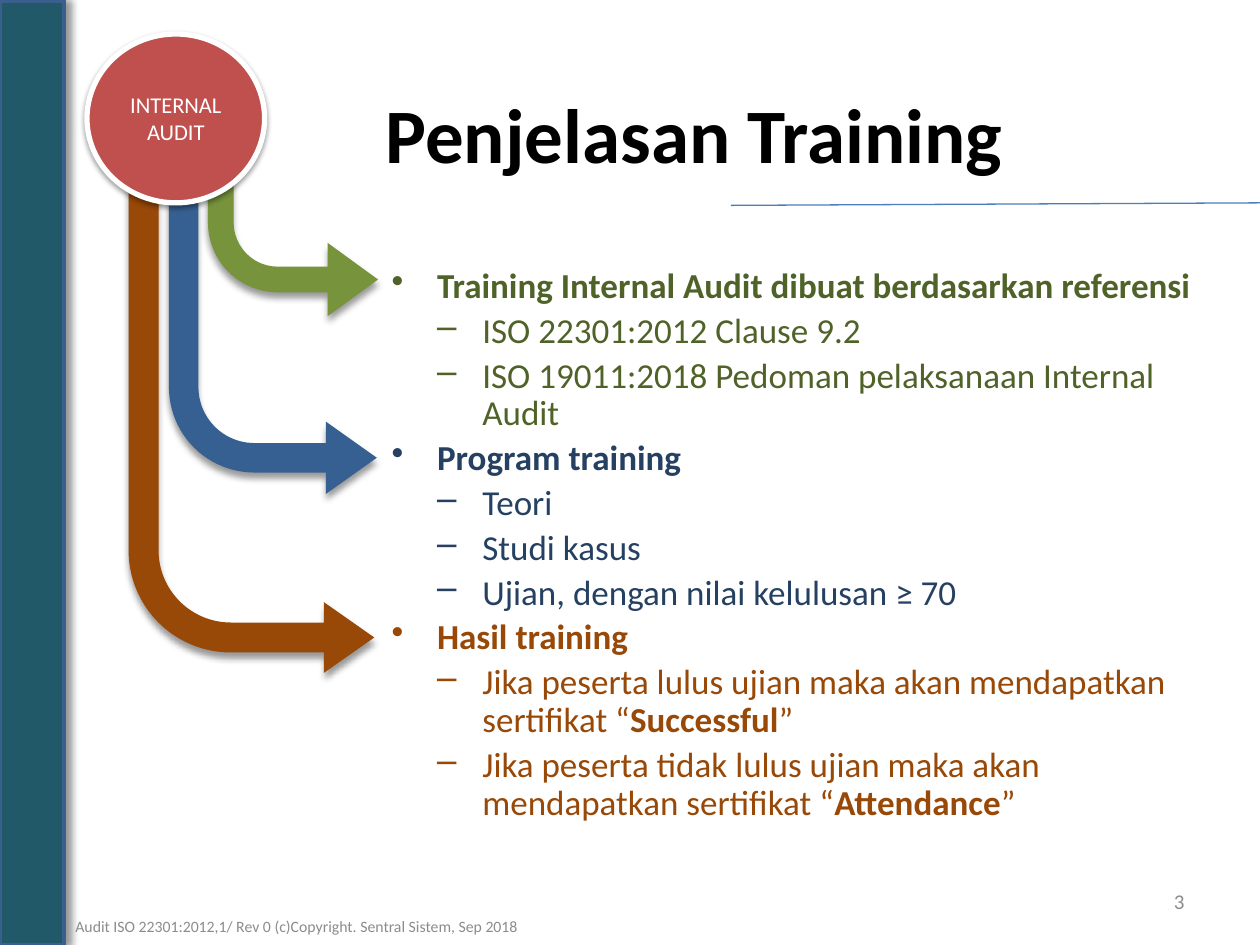
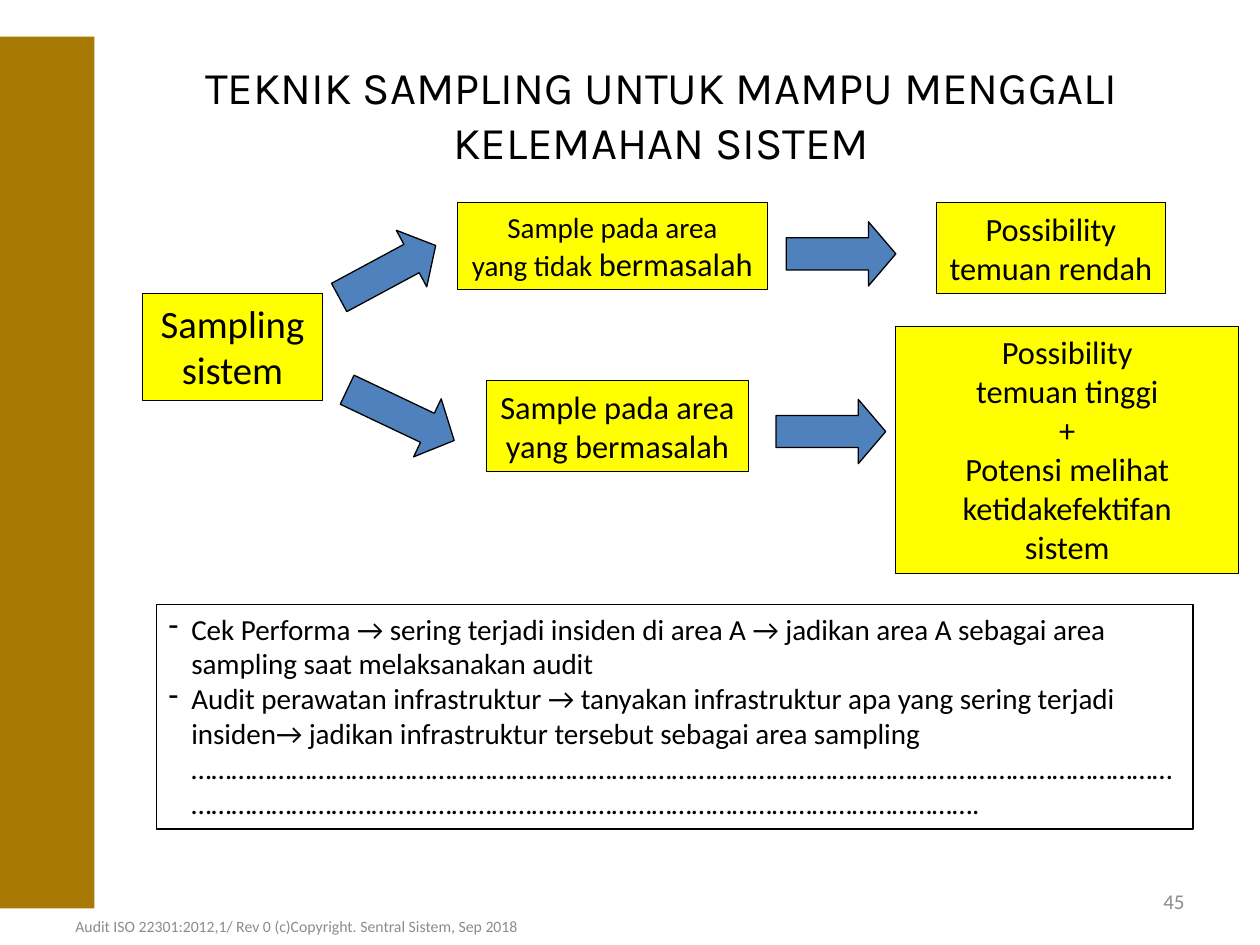
from dataclasses import dataclass

from lxml.etree import SubElement
from pptx import Presentation
from pptx.dml.color import RGBColor
from pptx.enum.shapes import MSO_CONNECTOR as Connector, MSO_SHAPE as Preset
from pptx.enum.text import MSO_ANCHOR as Anchor, MSO_AUTO_SIZE as AutoSize, PP_ALIGN as Align
from pptx.oxml.ns import qn
from pptx.util import Emu, Inches, Pt

# Colours
BLACK = RGBColor(0x00, 0x00, 0x00)
WHITE = RGBColor(0xFF, 0xFF, 0xFF)
GREY = RGBColor(0x8C, 0x8C, 0x8C)
TEAL = RGBColor(0x21, 0x59, 0x68)
TEAL_EDGE = RGBColor(0x3A, 0x5F, 0x8C)
RULE_BLUE = RGBColor(0x4B, 0x7E, 0xBC)
RED = RGBColor(0xC0, 0x50, 0x4D)
GREEN = RGBColor(0x77, 0x93, 0x3C)
DARK_GREEN = RGBColor(0x4F, 0x62, 0x28)
BLUE = RGBColor(0x37, 0x60, 0x92)
NAVY = RGBColor(0x25, 0x40, 0x61)
BROWN = RGBColor(0x98, 0x48, 0x07)
YELLOW = RGBColor(0xFF, 0xFF, 0x00)
ARROW_BLUE = RGBColor(0x4F, 0x81, 0xBD)
OCHRE = RGBColor(0xA8, 0x79, 0x04)

BODY_FONT, CAPS_FONT = "Calibri", "Karla"
FOOTER = "Audit ISO 22301:2012,1/ Rev 0 (c)Copyright. Sentral Sistem, Sep 2018"

# Grid of 100 columns by 75 rows
SLIDE_WIDTH, SLIDE_HEIGHT = Inches(10), Inches(7.5)
COLUMN, ROW = SLIDE_WIDTH / 100, SLIDE_HEIGHT / 75


@dataclass
class Box:
    """A region of the grid, in columns and rows."""
    left: float
    top: float
    width: float
    height: float

    def area(self, left, top, width, height):
        return Box(self.left + left, self.top + top, width, height)

    def lengths(self):
        return [Emu(round(cells * size)) for cells, size in
                zip((self.left, self.top, self.width, self.height), (COLUMN, ROW) * 2)]


PAGE = Box(0, 0, 100, 75)


def style_text(para, size, color, font=BODY_FONT, bold=False, align=Align.LEFT):
    para.alignment = align
    for span in para.runs:
        span.font.name, span.font.size = font, Pt(size)
        span.font.color.rgb, span.font.bold = color, bold


def add_bullet(para, symbol, margin, hang):
    props = para._p.get_or_add_pPr()
    props.set("marL", str(Inches(margin)))
    props.set("indent", str(-Inches(hang)))
    SubElement(props, qn("a:buChar"), char=symbol)


def add_shadow(shape, alpha, blur, distance, angle):
    effects = shape.element.spPr.find(qn("a:effectLst"))
    shadow = SubElement(effects, qn("a:outerShdw"), blurRad=str(Pt(blur)),
                        dist=str(Pt(distance)), dir=str(angle * 60000),
                        algn="ctr", rotWithShape="0")
    color = SubElement(shadow, qn("a:srgbClr"), val=str(BLACK))
    SubElement(color, qn("a:alpha"), val=str(alpha * 1000))


def add_figure(page, preset, box, fill=None, line=None, weight=0.75, adjust=()):
    shape = page.shapes.add_shape(preset, *box.lengths())
    shape.shadow.inherit = False
    for index, value in enumerate(adjust):
        shape.adjustments[index] = value
    if fill is None:
        shape.fill.background()
    else:
        shape.fill.solid()
        shape.fill.fore_color.rgb = fill
    if line is None:
        shape.line.fill.background()
    else:
        shape.line.color.rgb, shape.line.width = line, Pt(weight)
    return shape


def add_label(page, box, text, size, color, align=Align.LEFT):
    frame = page.shapes.add_textbox(*box.lengths()).text_frame
    frame.word_wrap, frame.vertical_anchor = True, Anchor.MIDDLE
    frame.text = text
    style_text(frame.paragraphs[0], size, color, align=align)


def set_title(page, box, text, size, **style):
    title = page.shapes.title
    title.left, title.top, title.width, title.height = box.lengths()
    frame = title.text_frame
    frame.text = text
    frame.word_wrap, frame.auto_size = True, AutoSize.NONE
    frame.vertical_anchor = Anchor.MIDDLE
    style_text(frame.paragraphs[0], size, BLACK, **style)


def add_footer(page, box, number):
    add_label(page, box.area(0, 2.5, 60.8, 3), FOOTER, 9, GREY)
    add_label(page, box.area(66.7, 0, 23.3, 4), number, 12, GREY, Align.RIGHT)


# Training overview
TOPICS = [
    (DARK_GREEN, "Training Internal Audit dibuat berdasarkan referensi",
     ["ISO 22301:2012 Clause 9.2", "ISO 19011:2018 Pedoman pelaksanaan Internal Audit"]),
    (NAVY, "Program training",
     ["Teori", "Studi kasus", "Ujian, dengan nilai kelulusan ≥ 70"]),
    (BROWN, "Hasil training",
     ["Jika peserta lulus ujian maka akan mendapatkan sertifikat “**Successful**”",
      "Jika peserta tidak lulus ujian maka akan mendapatkan sertifikat “**Attendance**”"]),
]
BENT_ARROWS = [
    (GREEN, (9.6, 5.7, 13.5, 16.7), (0.151, 0.216, 0.297, 0.411)),
    (BLUE, (6.5, 0.2, 16.5, 36.3), (0.142, 0.174, 0.245, 0.411)),
    (BROWN, (3.3, 4.3, 19.5, 46.4), (0.122, 0.144, 0.205, 0.416)),
]


def add_topics(page, box):
    frame = page.shapes.add_textbox(*box.lengths()).text_frame
    frame.word_wrap = True
    lines = []
    for color, heading, details in TOPICS:
        lines.append((0, color, f"**{heading}**"))
        lines += [(1, color, detail) for detail in details]
    for index, (level, color, text) in enumerate(lines):
        para = frame.add_paragraph() if index else frame.paragraphs[0]
        para.level, para.line_spacing = level, 0.9
        para.space_before = Pt(4 if index else 0)
        add_bullet(para, "•–"[level], 1.09 + 0.36 * level, 0.36)
        # Text between double asterisks is bold
        pieces = [(piece, order % 2 == 1) for order, piece in enumerate(text.split("**")) if piece]
        for piece, _ in pieces:
            para.add_run().text = piece
        style_text(para, 20, color)
        for span, (_, bold) in zip(para.runs, pieces):
            span.font.bold = bold


def add_audit_hub(page, box):
    # Bent arrows from the hub to each topic
    for color, place, adjust in BENT_ARROWS:
        arrow = add_figure(page, Preset.BENT_ARROW, box.area(*place), color, adjust=adjust)
        arrow.rotation = 180
        arrow.element.spPr.find(qn("a:xfrm")).set("flipH", "1")
        add_shadow(arrow, 40, 4, 3, 90)
    # Hub
    hub = add_figure(page, Preset.OVAL, box.area(0, 0, 14.1, 13.4), RED, WHITE, 3)
    add_shadow(hub, 38, 3.1, 1.6, 90)
    hub.text_frame.text = "INTERNAL AUDIT"
    hub.text_frame.vertical_anchor = Anchor.MIDDLE
    style_text(hub.text_frame.paragraphs[0], 12.9, WHITE, align=Align.CENTER)


def add_title_rule(page, box):
    left, top, width, height = box.lengths()
    rule = page.shapes.add_connector(Connector.STRAIGHT, left, top + height, left + width, top)
    rule.line.color.rgb, rule.line.width = RULE_BLUE, Pt(0.75)
    SubElement(rule.element.spPr, qn("a:effectLst"))


def build_training(page, box):
    set_title(page, box.area(29.6, 4.8, 60.2, 11.5), "Penjelasan Training", 44, bold=True)
    add_topics(page, box.area(22.8, 20.8, 74.8, 45.8))
    add_audit_hub(page, box.area(6.9, 2.7, 23.1, 50.7))
    band = add_figure(page, Preset.RECTANGLE, box.area(0, 0.1, 5.1, 74.9), TEAL, TEAL_EDGE, 2)
    add_shadow(band, 40, 4, 3, 0)
    add_title_rule(page, box.area(58, 16.1, 42, 0.2))
    add_footer(page, box.area(5, 69.5, 90, 5.5), "3")


# Sampling technique: place, size and lines of each box in the flow
FLOW_BOXES = [
    ((0, 7.2, 14.3, 8.5), 22.1, ["Sampling", "sistem"]),
    ((25, 0, 24.6, 6.9), 16.6, ["Sample pada area", "yang tidak bermasalah"]),
    ((27.3, 14.1, 20.8, 7.2), 18.5, ["Sample pada area", "yang bermasalah"]),
    ((63, 0, 18.2, 7.2), 18.5, ["Possibility", "temuan rendah"]),
    ((59.8, 9.8, 27.2, 19.6), 18.5,
     ["Possibility", "temuan tinggi", "+", "Potensi melihat", "ketidakefektifan", "sistem"]),
]
# Left, top, width and rotation
FLOW_ARROWS = [(50.3, 15.6, 8.7, 0), (51.1, 1.5, 8.7, 0),
               (15.1, 2.9, 8.7, 331.7), (15.8, 14.3, 9.4, 25.4)]
ARROW_HEIGHT = 5.1
NOTES = [
    "Cek Performa → sering terjadi insiden di area A → jadikan area A sebagai area "
    "sampling saat melaksanakan audit",
    "Audit perawatan infrastruktur → tanyakan infrastruktur apa yang sering terjadi "
    "insiden→ jadikan infrastruktur tersebut sebagai area sampling " + "…" * 88 + ".",
]


def add_flow(page, box):
    for place, size, lines in FLOW_BOXES:
        frame = add_figure(page, Preset.RECTANGLE, box.area(*place), YELLOW, BLACK).text_frame
        frame.text = "\n".join(lines)
        frame.word_wrap, frame.vertical_anchor = False, Anchor.TOP
        for para in frame.paragraphs:
            style_text(para, size, BLACK, align=Align.CENTER)
            # The last word of the upper sample is larger
            if para.text == "yang tidak bermasalah":
                para.runs[0].text = "yang tidak "
                para.add_run().text = "bermasalah"
                style_text(para, size, BLACK, align=Align.CENTER)
                para.runs[1].font.size = Pt(18.5)
    for left, top, width, angle in FLOW_ARROWS:
        arrow = add_figure(page, Preset.RIGHT_ARROW, box.area(left, top, width, ARROW_HEIGHT),
                           ARROW_BLUE, BLACK, adjust=(0.5, width / ARROW_HEIGHT / 4))
        arrow.rotation = angle


def add_notes_panel(page, box):
    frame = add_figure(page, Preset.RECTANGLE, box, line=BLACK).text_frame
    frame.text = "\n".join(NOTES)
    frame.word_wrap, frame.vertical_anchor = True, Anchor.TOP
    for para in frame.paragraphs:
        add_bullet(para, "-", 0.18, 0.18)
        style_text(para, 16.6, BLACK)


def build_sampling(page, box):
    set_title(page, box.area(7.5, 3.3, 90, 11.5),
              "TEKNIK SAMPLING UNTUK MAMPU MENGGALI KELEMAHAN SISTEM",
              25.9, font=CAPS_FONT, align=Align.CENTER)
    add_flow(page, box.area(11.3, 16.1, 87, 29.4))
    add_notes_panel(page, box.area(12.4, 48, 82.3, 17.8))
    add_figure(page, Preset.RECTANGLE, box.area(0, 2.9, 7.5, 69.2), OCHRE)
    add_footer(page, box.area(5, 69.5, 90, 5.5), "45")


def main():
    deck = Presentation()
    deck.slide_width, deck.slide_height = SLIDE_WIDTH, SLIDE_HEIGHT
    title_only = deck.slide_layouts.get_by_name("Title Only")
    for build in (build_training, build_sampling):
        build(deck.slides.add_slide(title_only), PAGE)
    deck.save("out.pptx")


if __name__ == "__main__":
    main()
